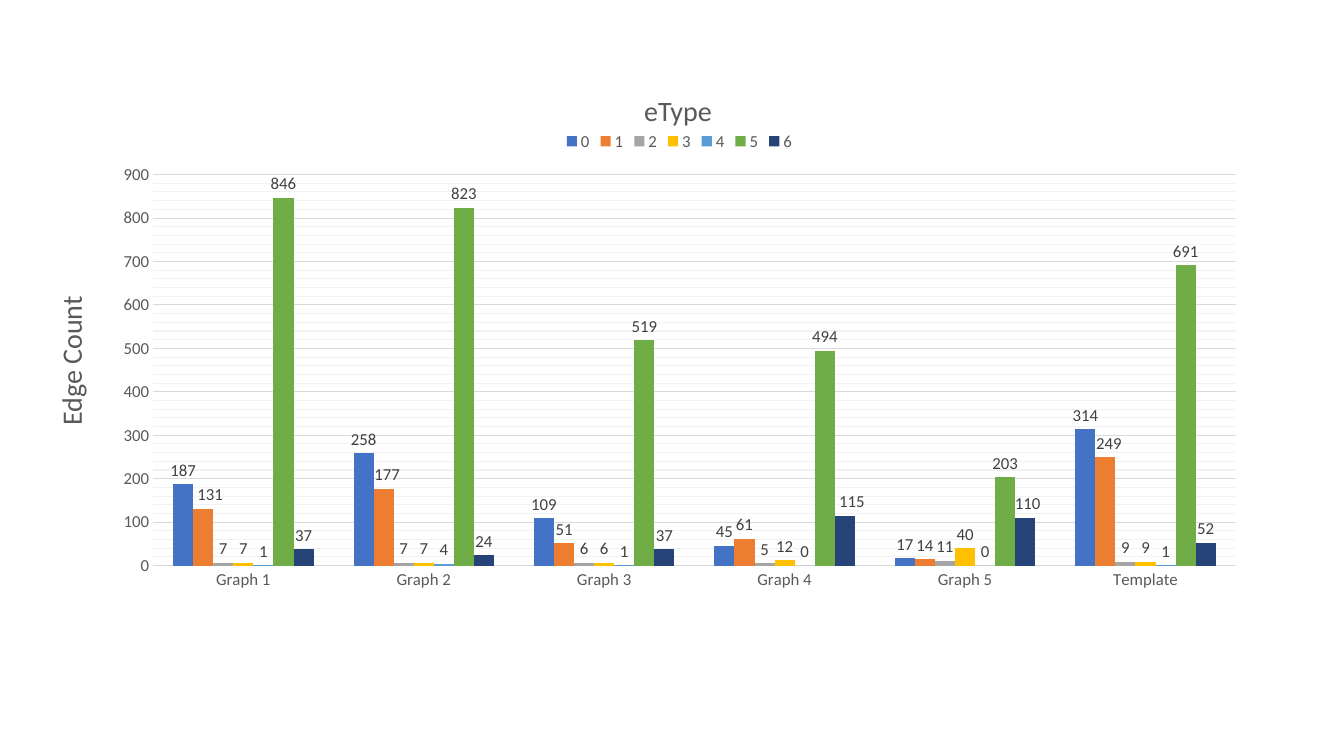
from copy import deepcopy
from dataclasses import dataclass, field

from lxml import etree
from pptx import Presentation
from pptx.chart.data import CategoryChartData
from pptx.dml.color import RGBColor
from pptx.enum.chart import XL_LABEL_POSITION, XL_LEGEND_POSITION, XL_TICK_MARK
from pptx.enum.chart import XL_CHART_TYPE
from pptx.enum.text import MSO_ANCHOR, MSO_AUTO_SIZE, PP_ALIGN
from pptx.oxml.ns import qn
from pptx.util import Pt

COLUMNS = XL_CHART_TYPE.COLUMN_CLUSTERED
LEGEND_TOP = XL_LEGEND_POSITION.TOP
OUTSIDE_END = XL_LABEL_POSITION.OUTSIDE_END
NO_TICK = XL_TICK_MARK.NONE
ANCHOR_TOP = MSO_ANCHOR.TOP
FIT_SHAPE = MSO_AUTO_SIZE.SHAPE_TO_FIT_TEXT
ALIGN_LEFT = PP_ALIGN.LEFT
TITLE_ONLY = 5

FONT = "Calibri"
GREY = "595959"
LABEL_COLOR = "404040"
GRID_COLOR = "D9D9D9"
MINOR_GRID_COLOR = "F2F2F2"

CATEGORIES = [f"Graph {number}" for number in range(1, 6)] + ["Template"]


@dataclass
class EdgeType:
    color: str
    counts: list[int]
    label_shifts: dict[int, float] = field(default_factory=dict)


@dataclass
class Caption:
    text: str
    left: float
    top: float
    width: float
    height: float
    rotation: float = 0


EDGE_TYPES = [
    EdgeType("4472C4", [187, 258, 109, 45, 17, 314]),
    EdgeType("ED7D31", [131, 177, 51, 61, 14, 249], {0: 0.006, 1: 0.003, 5: 0.003}),
    EdgeType("A5A5A5", [7, 7, 6, 5, 11, 9]),
    EdgeType("FFC000", [7, 7, 6, 12, 40, 9]),
    EdgeType("5B9BD5", [1, 4, 1, 0, 0, 1]),
    EdgeType("70AD47", [846, 823, 519, 494, 203, 691]),
    EdgeType("264478", [37, 24, 37, 115, 110, 52], {3: 0.006, 4: 0.002}),
]
TITLE = Caption("eType", 452.9, 63.4, 65.5, 31.5)
AXIS_CAPTION = Caption("Edge Count", -3.6, 241.2, 108.7, 31.5, 270)


def rgb(color: str) -> RGBColor:
    return RGBColor.from_string(color)


def set_attributes(target, values: dict) -> None:
    for name, value in values.items():
        setattr(target, name, value)


def format_font(font, size: float, color: str) -> None:
    set_attributes(font, {"name": FONT, "size": Pt(size), "bold": False})
    font.color.rgb = rgb(color)


def format_line(line, color: str) -> None:
    line.width = Pt(0.75)
    line.color.rgb = rgb(color)


def write_caption(box, caption: Caption) -> None:
    set_attributes(box, {
        "left": Pt(caption.left), "top": Pt(caption.top),
        "width": Pt(caption.width), "height": Pt(caption.height),
        "rotation": caption.rotation,
    })
    frame = box.text_frame
    set_attributes(frame, {
        "word_wrap": False, "auto_size": FIT_SHAPE, "vertical_anchor": ANCHOR_TOP,
    })
    para = frame.paragraphs[0]
    para.alignment = ALIGN_LEFT
    span = para.add_run()
    span.text = caption.text
    format_font(span.font, 20, GREY)


def make_layout(values: dict):
    layout = etree.Element(qn("c:layout"))
    manual = etree.SubElement(layout, qn("c:manualLayout"))
    for name, value in values.items():
        etree.SubElement(manual, qn(f"c:{name}"), val=str(value))
    return layout


def place_plot(chart) -> None:
    area = chart._chartSpace.chart.plotArea
    for old in area.findall(qn("c:layout")):
        area.remove(old)
    area.insert(0, make_layout({
        "layoutTarget": "inner", "xMode": "edge", "yMode": "edge",
        "x": 0.046, "y": 0.114, "w": 0.934, "h": 0.815,
    }))


def format_series(series, edge_type: EdgeType) -> None:
    series.format.fill.solid()
    series.format.fill.fore_color.rgb = rgb(edge_type.color)
    series.invert_if_negative = False
    labels = series.data_labels
    set_attributes(labels, {"show_value": True, "position": OUTSIDE_END})
    format_font(labels.font, 12, LABEL_COLOR)
    for index, shift in edge_type.label_shifts.items():
        label = series.points[index].data_label
        label.position = OUTSIDE_END
        format_font(label.font, 12, LABEL_COLOR)
        position = series._element.xpath(f'.//c:dLbl/c:idx[@val="{index}"]')[0]
        position.addnext(make_layout({"x": shift, "y": 0}))


def format_minor_gridlines(axis) -> None:
    major = axis._element.find(qn("c:majorGridlines"))
    minor = axis._element.find(qn("c:minorGridlines"))
    minor.append(deepcopy(major.find(qn("c:spPr"))))
    for color in minor.iter(qn("a:srgbClr")):
        color.set("val", MINOR_GRID_COLOR)


def format_axes(chart) -> None:
    for axis in (chart.category_axis, chart.value_axis):
        set_attributes(axis, {"major_tick_mark": NO_TICK, "minor_tick_mark": NO_TICK})
        format_font(axis.tick_labels.font, 12, GREY)
    format_line(chart.category_axis.format.line, GRID_COLOR)
    counts = chart.value_axis
    set_attributes(counts, {
        "minimum_scale": 0, "maximum_scale": 900, "major_unit": 100,
        "minor_unit": 20, "has_major_gridlines": True, "has_minor_gridlines": True,
    })
    counts.format.line.fill.background()
    format_line(counts.major_gridlines.format.line, GRID_COLOR)
    format_minor_gridlines(counts)


def add_edge_chart(page) -> None:
    data = CategoryChartData()
    data.categories = CATEGORIES
    for number, edge_type in enumerate(EDGE_TYPES):
        data.add_series(str(number), edge_type.counts)
    chart = page.shapes.add_chart(
        COLUMNS, Pt(71.3), Pt(85.7), Pt(828), Pt(342.7), data
    ).chart
    set_attributes(chart, {"has_title": False, "has_legend": True})
    format_font(chart.font, 10, "000000")
    set_attributes(chart.legend, {"position": LEGEND_TOP, "include_in_layout": False})
    format_font(chart.legend.font, 12, GREY)
    plot = chart.plots[0]
    set_attributes(plot, {"gap_width": 199, "overlap": 0, "vary_by_categories": False})
    for series, edge_type in zip(plot.series, EDGE_TYPES):
        format_series(series, edge_type)
    format_axes(chart)
    place_plot(chart)


def main() -> None:
    deck = Presentation()
    set_attributes(deck, {"slide_width": Pt(960), "slide_height": Pt(540)})
    page = deck.slides.add_slide(deck.slide_layouts[TITLE_ONLY])
    add_edge_chart(page)
    title = page.shapes.title
    page.shapes._spTree.append(title._element)
    write_caption(title, TITLE)
    write_caption(page.shapes.add_textbox(0, 0, 0, 0), AXIS_CAPTION)
    deck.save("out.pptx")


if __name__ == "__main__":
    main()
